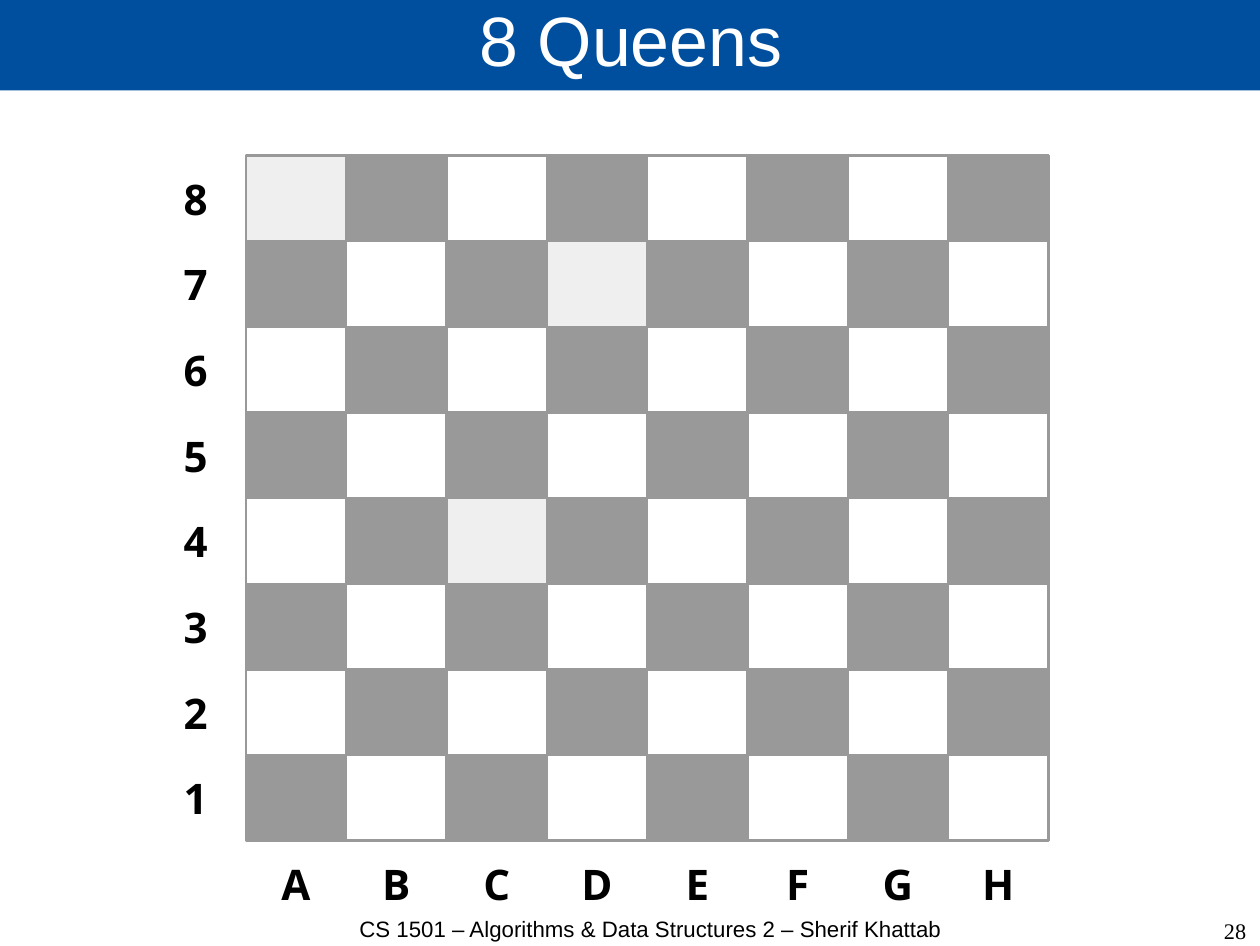
import pptx
import pptx.util
import pptx.dml.color
import pptx.enum.shapes
import pptx.enum.text

Inches = pptx.util.Inches
ALIGN = pptx.enum.text.PP_ALIGN
ANCHOR = pptx.enum.text.MSO_ANCHOR

COLORS = {"banner": "004F9E", "dark": "999999", "queen": "EFEFEF",
          "white": "FFFFFF", "black": "000000"}
FORMATS = {
    "title": {"name": "Arial", "size": pptx.util.Pt(44)},
    "label": {"name": "Open Sans", "size": pptx.util.Pt(26.5), "bold": True},
    "number": {"name": "Times New Roman", "size": pptx.util.Pt(14)},
    "footer": {"name": "Arial", "size": pptx.util.Pt(14)},
}

FILES = "ABCDEFGH"
RANKS = "87654321"
QUEENS = ("A8", "D7", "C4")
BOARD_LEFT, BOARD_TOP = 2.15, 1.36
CELL_W, CELL_H = 7.02 / 8, 5.99 / 8


class SlideBuilder:
    def __init__(self, slide):
        self.s = slide

    def color(self, name):
        return pptx.dml.color.RGBColor.from_string(COLORS[name])

    def rect(self, x, y, w, h, fill=None, line=None):
        sp = self.s.shapes.add_shape(
            pptx.enum.shapes.MSO_SHAPE.RECTANGLE,
            Inches(x), Inches(y), Inches(w), Inches(h))
        sp.shadow.inherit = False
        if fill:
            sp.fill.solid()
            sp.fill.fore_color.rgb = self.color(fill)
        else:
            sp.fill.background()
        if line:
            sp.line.color.rgb = self.color(line)
            sp.line.width = pptx.util.Pt(1.5)
        else:
            sp.line.fill.background()
        return sp

    def set_text(self, sp, text, style, color="black", align=ALIGN.CENTER,
                 anchor=ANCHOR.MIDDLE, inset=0.11, spacing=None):
        tf = sp.text_frame
        tf.word_wrap = True
        tf.vertical_anchor = anchor
        for side in ("left", "top", "right", "bottom"):
            setattr(tf, f"margin_{side}", Inches(inset))
        p = tf.paragraphs[0]
        p.alignment = align
        p.line_spacing = spacing
        r = p.add_run()
        r.text = text
        for key, value in FORMATS[style].items():
            setattr(r.font, key, value)
        r.font.color.rgb = self.color(color)

    def text(self, x, y, w, h, text, style, **options):
        sp = self.s.shapes.add_textbox(Inches(x), Inches(y), Inches(w), Inches(h))
        self.set_text(sp, text, style, **options)

    def board(self):
        for row, rank in enumerate(RANKS):
            y = BOARD_TOP + row * CELL_H
            for col, file in enumerate(FILES):
                fill = "dark" if (row + col) % 2 else None
                if file + rank in QUEENS:
                    fill = "queen"
                self.rect(BOARD_LEFT + col * CELL_W, y, CELL_W, CELL_H, fill, "dark")

    def board_labels(self):
        for col, file in enumerate(FILES):
            self.text(BOARD_LEFT + col * CELL_W, BOARD_TOP + 8 * CELL_H,
                      CELL_W, CELL_H, file, "label")
        for row, rank in enumerate(RANKS):
            self.text(BOARD_LEFT - CELL_W, BOARD_TOP + row * CELL_H,
                      CELL_W, CELL_H, rank, "label")


def main():
    prs = pptx.Presentation()
    prs.slide_width, prs.slide_height = Inches(11.02), Inches(8.27)
    b = SlideBuilder(prs.slides.add_slide(prs.slide_layouts[6]))
    banner = b.rect(0, -0.02, 11.04, 0.81, "banner")
    b.set_text(banner, "8 Queens", "title", color="white",
               anchor=ANCHOR.BOTTOM, spacing=0.69)
    b.text(8.48, 7.86, 2.53, 0.55, "28", "number", align=ALIGN.RIGHT)
    b.board()
    b.board_labels()
    b.text(3.07, 8.02, 5.24, 0.55,
           "CS 1501 – Algorithms & Data Structures 2 – Sherif Khattab",
           "footer", anchor=ANCHOR.TOP, inset=0, spacing=0.96)
    prs.save("out.pptx")


if __name__ == "__main__":
    main()
